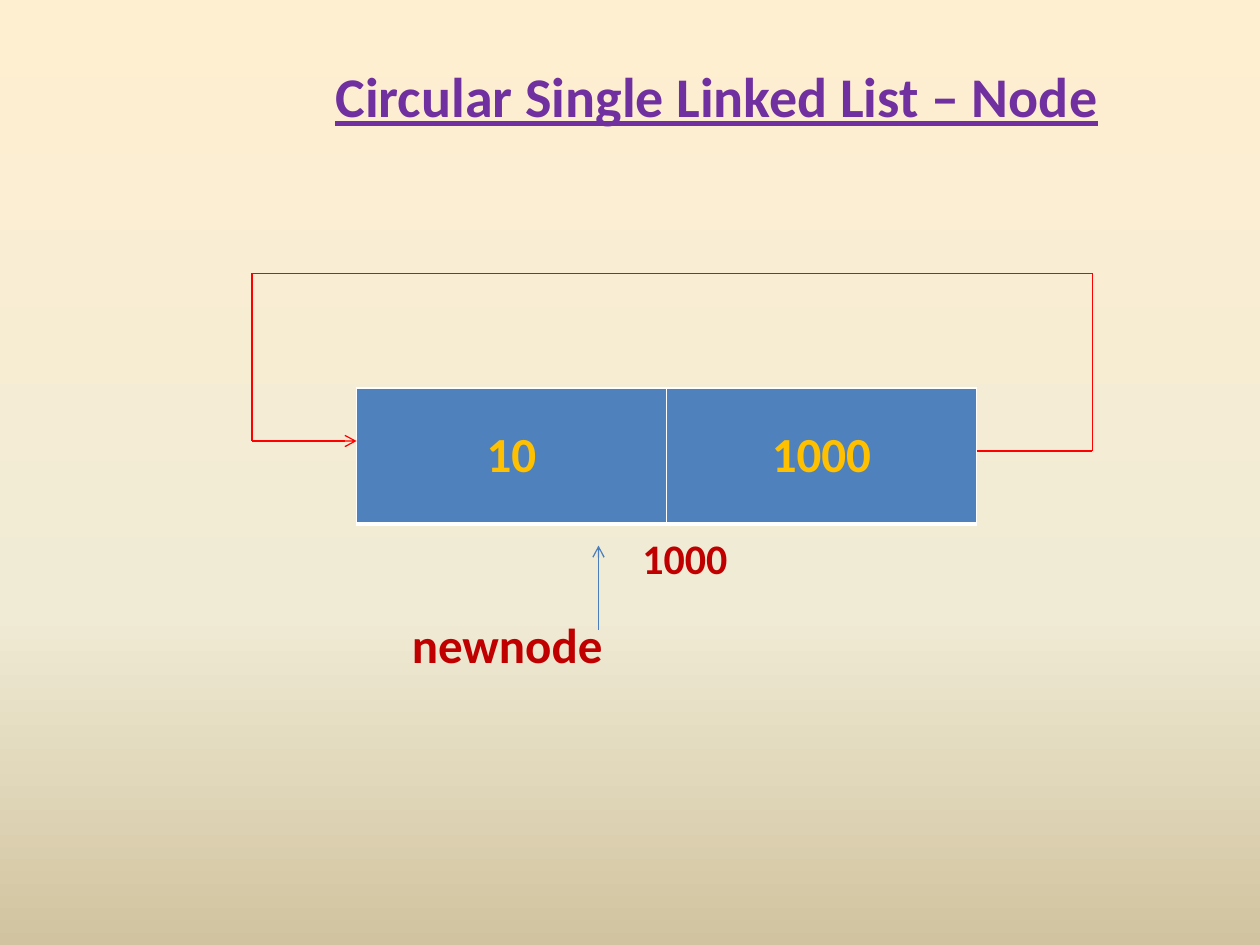
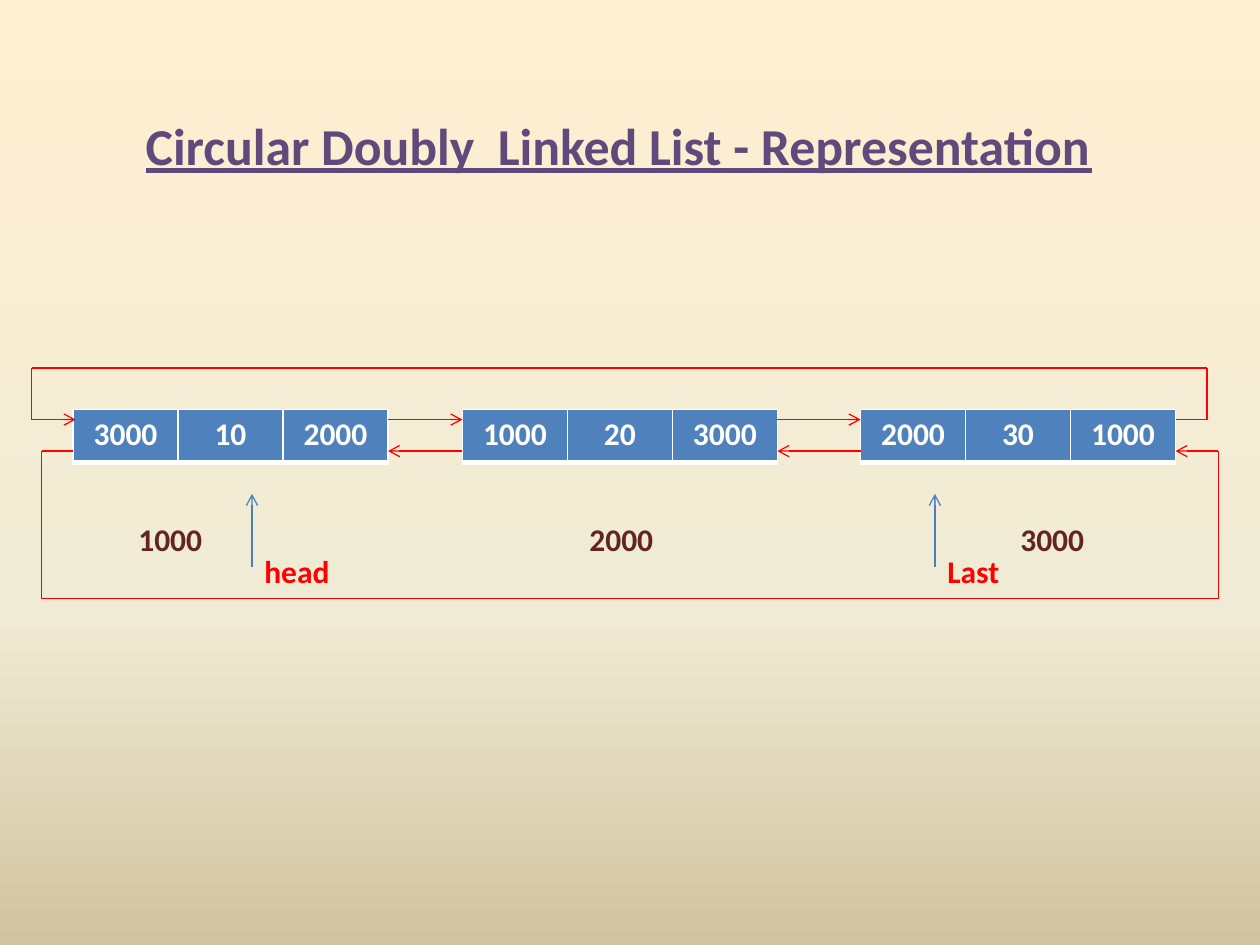
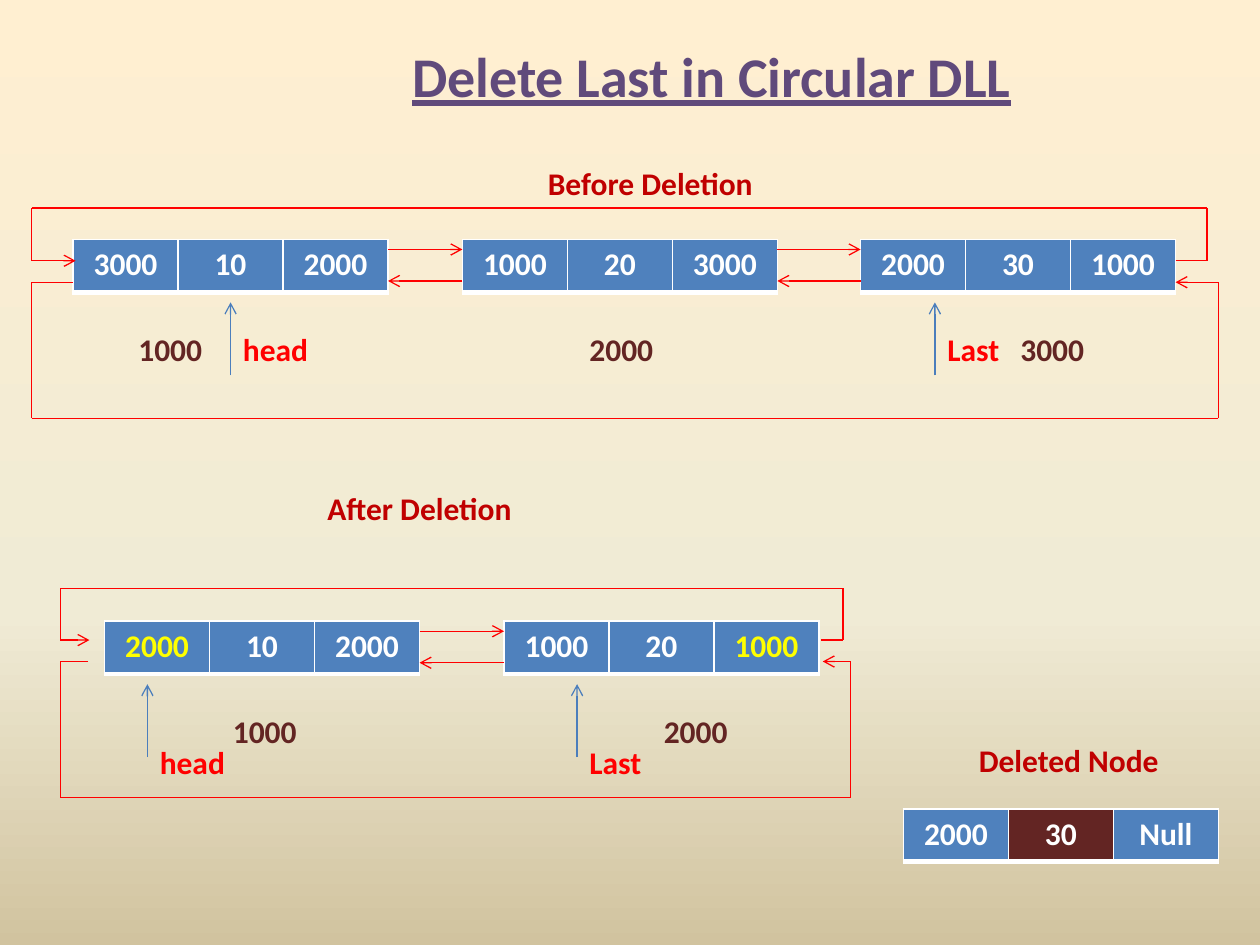
from dataclasses import dataclass
from itertools import pairwise

from lxml import etree
from pptx import Presentation
from pptx import util as u
from pptx.dml.color import RGBColor
from pptx.enum import shapes, text
from pptx.oxml import ns


@dataclass(frozen=True)
class Theme:
    font: str = "Calibri"
    backdrop: tuple = ((0, "FFEFD1"), (65, "F0EBD5"), (100, "D1C39F"))
    title: str = "604A7B"
    first_title: str = "7030A0"
    caption: str = "C00000"
    address: str = "632523"
    pointer: str = "FF0000"
    link: str = "FF0000"
    pointer_arrow: str = "4B7EBC"
    node: str = "4F81BD"
    deleted: str = "632523"
    node_text: str = "FFFFFF"
    changed: str = "FFFF00"
    first_text: str = "FFC000"
    border: str = "FFFFFF"
    body_size: float = 18
    address_size: float = 24
    large_size: float = 28
    title_size: float = 32
    line_width: float = 0.75


THEME = Theme()
NODE_SIZE = (2.5, 0.42)
POINTER_LENGTH = 0.58
LINK_OFFSETS = (0.08, 0.33)
BORDERS = (("L", 1), ("R", 1), ("T", 1), ("B", 3))

FULL_LIST = {
    "lefts": (0.58, 3.67, 6.83),
    "nodes": (("3000", "10", "2000"), ("1000", "20", "3000"), ("2000", "30", "1000")),
    "addresses": (("1000", 1), ("2000", 4.58), ("3000", 8)),
}
SHORT_LIST = {
    "lefts": (0.83, 4),
    "nodes": (
        (("2000", THEME.changed), "10", "2000"),
        ("1000", "20", ("1000", THEME.changed)),
    ),
    "addresses": (("1000", 1.75), ("2000", 5.17)),
}

SLIDES = [
    {
        "title": ("Circular Single Linked List – Node", 1.69, 0.44,
                  THEME.title_size, THEME.first_title),
        "single_nodes": [
            ((("10", THEME.first_text), ("1000", THEME.first_text)),
             2.83, 3.08, (4.92, 1.08), THEME.large_size),
        ],
        "captions": [
            ("newnode", 3.17, 4.83, 1.83, THEME.large_size),
            ("1000", 5, 4.18, 1.83, THEME.address_size),
        ],
        "arrows": [((4.75, 5), (4.75, 4.33))],
        "loops": [((7.75, 3.58), 8.67, 2.17, 2, (2.83, 3.5))],
    },
    {
        "title": ("Circular Doubly  Linked List - Representation", 0.91, 0.85,
                  29.6, THEME.title),
        "lists": [
            {**FULL_LIST, "top": 3.25, "address_top": 4.08, "pointer_tip": 3.92,
             "pointer_top": 4.33, "pointers": (("head", 2), ("Last", 7.42))},
        ],
        "loops": [
            ((9.33, 3.33), 9.58, 2.92, 0.25, (0.6, 3.33)),
            ((0.58, 3.58), 0.33, 4.75, 9.67, (9.33, 3.58)),
        ],
    },
    {
        "title": ("Delete Last in Circular DLL", 1.65, 0.28,
                  THEME.title_size, THEME.title),
        "lists": [
            {**FULL_LIST, "top": 1.9, "address_top": 2.57, "pointer_tip": 2.4,
             "pointer_top": 2.57, "pointers": (("head", 1.83), ("Last", 7.42))},
            {**SHORT_LIST, "top": 4.93, "address_top": 5.6, "pointer_tip": 5.43,
             "pointer_top": 5.85, "pointers": (("head", 1.17), ("Last", 4.58))},
        ],
        "single_nodes": [
            (("2000", ("30", THEME.node_text, THEME.deleted), "Null"),
             7.17, 6.42, NODE_SIZE, THEME.body_size),
        ],
        "captions": [
            ("Before Deletion", 4.25, 1.25, 2.33, THEME.body_size),
            ("After Deletion", 2.5, 3.83, 2.33, THEME.body_size),
            ("Deleted Node", 7.67, 5.83, 2.33, THEME.body_size),
        ],
        "loops": [
            ((9.33, 2.07), 9.58, 1.65, 0.25, (0.6, 2.07)),
            ((0.58, 2.24), 0.25, 3.32, 9.67, (9.33, 2.24)),
            ((6.52, 5.08), 6.69, 4.67, 0.48, (0.71, 5.08)),
            ((0.7, 5.25), 0.48, 6.33, 6.75, (6.53, 5.25)),
        ],
    },
]


def inches(*lengths):
    return [u.Inches(length) for length in lengths]


def add_element(parent, tag, **attributes):
    return etree.SubElement(parent, ns.qn(tag), attributes)


def paint_backdrop(master):
    fill = master.background.fill
    fill.gradient()
    fill.gradient_angle = 270
    stops = master.element.find(".//" + ns.qn("a:gsLst"))
    for stop in list(stops):
        stops.remove(stop)
    for position, color in THEME.backdrop:
        stop = add_element(stops, "a:gs", pos=str(position * 1000))
        add_element(stop, "a:srgbClr", val=color)


def write(frame, wording, size, color, centered=False, **formats):
    paragraph = frame.paragraphs[0]
    if centered:
        paragraph.alignment = text.PP_ALIGN.CENTER
    run = paragraph.add_run()
    run.text = wording
    values = {"name": THEME.font, "size": u.Pt(size), "bold": True, **formats}
    for name, value in values.items():
        setattr(run.font, name, value)
    run.font.color.rgb = RGBColor.from_string(color)


def add_label(slide, wording, left, top, width, size, color, height=0.4, **formats):
    frame = slide.shapes.add_textbox(*inches(left, top, width, height)).text_frame
    frame.word_wrap = True
    write(frame, wording, size, color, **formats)


def add_line(slide, start, end, color, arrow=False):
    line = slide.shapes.add_connector(
        shapes.MSO_CONNECTOR.STRAIGHT, *inches(*start, *end))
    line.line.color.rgb = RGBColor.from_string(color)
    line.line.width = u.Pt(THEME.line_width)
    if arrow:
        add_element(line.line._get_or_add_ln(), "a:tailEnd", type="arrow")
    add_element(line.element.spPr, "a:effectLst")


def add_loop(slide, start, start_side, far, end_side, end):
    points = [start, (start_side, start[1]), (start_side, far),
              (end_side, far), (end_side, end[1]), end]
    for first, second in pairwise(points):
        add_line(slide, first, second, THEME.link, arrow=second == end)


def add_node(slide, values, left, top, size=NODE_SIZE, text_size=THEME.body_size):
    table = slide.shapes.add_table(1, len(values), *inches(left, top, *size)).table
    for column, value in enumerate(values):
        table.columns[column].width = u.Inches(size[0] / len(values))
        parts = (value,) if isinstance(value, str) else value
        defaults = ("", THEME.node_text, THEME.node)
        wording, color, fill = parts + defaults[len(parts):]
        cell = table.cell(0, column)
        if size != NODE_SIZE:
            cell.vertical_anchor = text.MSO_ANCHOR.MIDDLE
        properties = cell._tc.get_or_add_tcPr()
        for side, width in BORDERS:
            border = add_element(properties, "a:ln" + side, w=str(u.Pt(width)))
            solid = add_element(border, "a:solidFill")
            add_element(solid, "a:srgbClr", val=THEME.border)
        cell.fill.solid()
        cell.fill.fore_color.rgb = RGBColor.from_string(fill)
        write(cell.text_frame, wording, text_size, color, centered=True)


def add_list(slide, content):
    top, lefts = content["top"], content["lefts"]
    for values, left in zip(content["nodes"], lefts):
        add_node(slide, values, left, top)
    next_y, previous_y = (top + offset for offset in LINK_OFFSETS)
    for left, following in pairwise(lefts):
        right = left + NODE_SIZE[0]
        add_line(slide, (right, next_y), (following, next_y), THEME.link, arrow=True)
        add_line(slide, (following, previous_y), (right, previous_y),
                 THEME.link, arrow=True)
    for wording, left in content["addresses"]:
        add_label(slide, wording, left, content["address_top"], 0.83,
                  THEME.body_size, THEME.address)
    tip = content["pointer_tip"]
    for wording, left in content["pointers"]:
        add_line(slide, (left, tip + POINTER_LENGTH), (left, tip),
                 THEME.pointer_arrow, arrow=True)
        add_label(slide, wording, left, content["pointer_top"], 0.83,
                  THEME.body_size, THEME.pointer)


def build_slide(presentation, content):
    slide = presentation.slides.add_slide(presentation.slide_layouts[6])
    wording, left, top, size, color = content["title"]
    add_label(slide, wording, left, top, 8, size, color,
              height=0.65, centered=True, underline=True)
    for node_list in content.get("lists", []):
        add_list(slide, node_list)
    for node in content.get("single_nodes", []):
        add_node(slide, *node)
    for caption in content.get("captions", []):
        add_label(slide, *caption, THEME.caption)
    for start, end in content.get("arrows", []):
        add_line(slide, start, end, THEME.pointer_arrow, arrow=True)
    for loop in content["loops"]:
        add_loop(slide, *loop)


def main():
    presentation = Presentation()
    presentation.slide_width, presentation.slide_height = inches(10, 7.5)
    paint_backdrop(presentation.slide_master)
    for content in SLIDES:
        build_slide(presentation, content)
    presentation.save("out.pptx")


if __name__ == "__main__":
    main()
